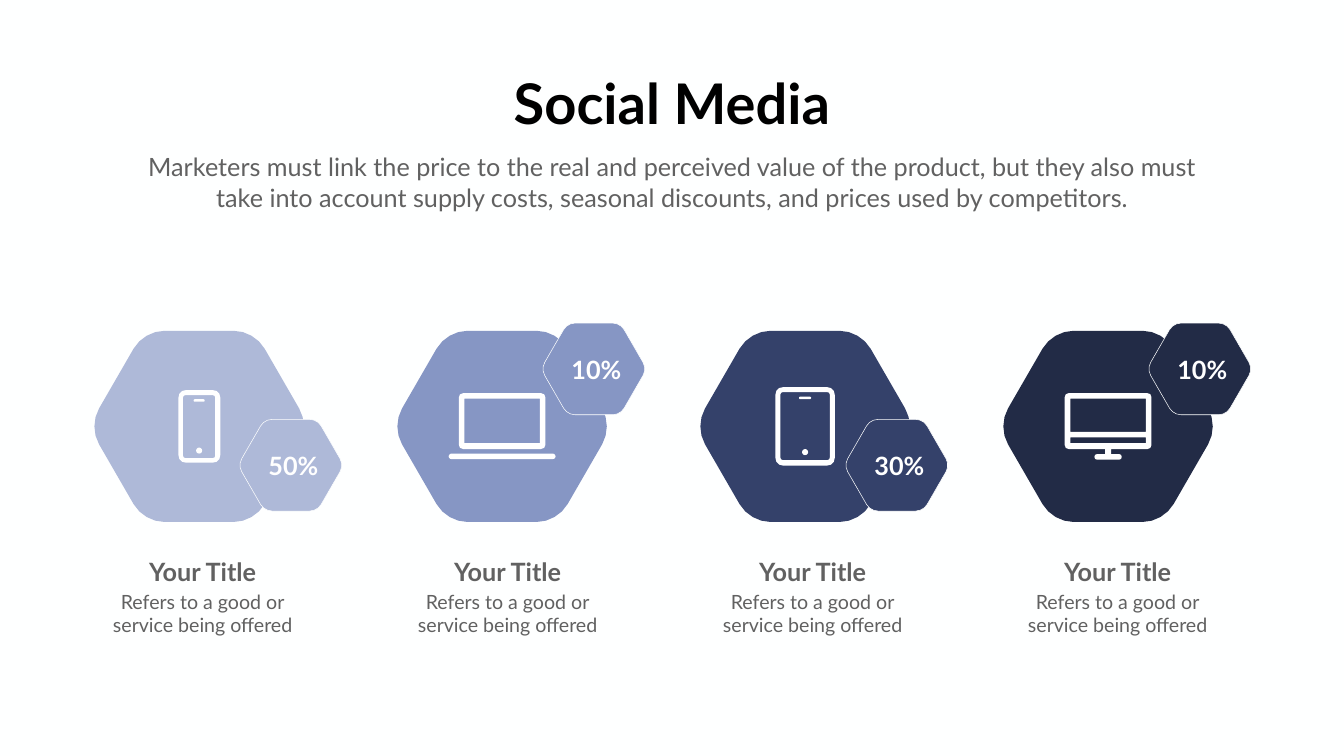
import math
import pptx
import pptx.util
import pptx.dml.color
import pptx.enum.shapes
import pptx.enum.text

Inches = pptx.util.Inches

HUES = {"back": "FEFFFF", "white": "FFFFFF", "black": "000000", "gray": "616161",
        "mist": "AEB9D8", "sky": "8696C4", "navy": "34416A", "night": "222B46"}
FONT = "Lato"
HEAD = "Social Media"
INTRO = ("Marketers must link the price to the real and perceived value of the product, "
         "but they also must take into account supply costs, seasonal discounts, "
         "and prices used by competitors.")
NAME = "Your Title"
NOTE = ["Refers to a good or", "service being offered"]
ITEMS = [("mist", "50%", "phone", "low"), ("sky", "10%", "laptop", "high"),
         ("navy", "30%", "tablet", "low"), ("night", "10%", "screen", "high")]

LEFT, MID, STEP = 3.95, 8.46, 6.01
TEXT_LEFT, TEXT_STEP = 4.02, 6.05
BADGE_X, BADGE_Y = 1.82, {"low": 0.77, "high": -1.14}
BEND = 0.6


def box(x, y, wide, high, cut=0):
    return [(x, y, cut), (x + wide, y, cut), (x + wide, y + high, cut), (x, y + high, cut)]


def hexagon(side, cut):
    turns = [math.radians(60 * n) for n in range(6)]
    return [(side * math.cos(t), side * math.sin(t), cut) for t in turns]


MONITOR = [(-0.86, -0.66, 0.08), (0.86, -0.66, 0.08), (0.86, 0.45, 0.08), (0.06, 0.45, 0),
           (0.06, 0.55, 0), (0.27, 0.55, 0.05), (0.27, 0.66, 0.05), (-0.27, 0.66, 0.05),
           (-0.27, 0.55, 0.05), (-0.06, 0.55, 0), (-0.06, 0.45, 0), (-0.86, 0.45, 0.08)]
FRAMES = {
    "phone": [box(-0.41, -0.72, 0.83, 1.44, 0.15), box(-0.32, -0.62, 0.64, 1.25, 0.05)],
    "laptop": [box(-0.86, -0.66, 1.72, 1.11, 0.09), box(-0.75, -0.55, 1.5, 0.88)],
    "tablet": [box(-0.59, -0.78, 1.18, 1.56, 0.16), box(-0.49, -0.68, 0.98, 1.35, 0.05)],
    "screen": [MONITOR, box(-0.75, -0.55, 1.5, 0.66), box(-0.75, 0.22, 1.5, 0.11)],
}
PILLS = {
    "phone": [(-0.06, 0.42, 0.12, 0.12), (-0.11, -0.54, 0.22, 0.05)],
    "laptop": [(-1.06, 0.54, 2.12, 0.11)],
    "tablet": [(-0.06, 0.45, 0.12, 0.12), (-0.12, -0.59, 0.24, 0.05)],
    "screen": [],
}


def color(name):
    return pptx.dml.color.RGBColor.from_string(HUES[name])


def toward(a, b, gap):
    part = gap / math.dist(a, b)
    return a[0] + (b[0] - a[0]) * part, a[1] + (b[1] - a[1]) * part


def rounded(corners):
    dots = []
    for n, (x, y, cut) in enumerate(corners):
        here = (x, y)
        if not cut:
            dots.append(here)
            continue
        prior, after = corners[n - 1][:2], corners[(n + 1) % len(corners)][:2]
        ends = [toward(here, prior, cut), toward(here, prior, cut * (1 - BEND)),
                toward(here, after, cut * (1 - BEND)), toward(here, after, cut)]
        steps = 4 if cut > 0.3 else 3 if cut > 0.1 else 2
        for k in range(steps + 1):
            t = k / steps
            parts = [(1 - t) ** 3, 3 * t * (1 - t) ** 2, 3 * t * t * (1 - t), t ** 3]
            dots.append(tuple(sum(p * e[i] for p, e in zip(parts, ends)) for i in (0, 1)))
    return dots


def paint(shape, fill, line=None):
    shape.shadow.inherit = False
    shape.fill.solid()
    shape.fill.fore_color.rgb = color(fill)
    if line:
        shape.line.color.rgb = color(line)
        shape.line.width = pptx.util.Pt(0.75)
    else:
        shape.line.fill.background()


def draw(slide, x, y, rings, fill, line=None):
    pen = None
    for ring in rings:
        dots = [(Inches(x + a), Inches(y + b)) for a, b in rounded(ring)]
        if pen is None:
            pen = slide.shapes.build_freeform(*dots[0])
        else:
            pen.move_to(*dots[0])
        pen.add_line_segments(dots[1:], close=True)
    paint(pen.convert_to_shape(), fill, line)


def pill(slide, x, y, wide, high):
    shape = slide.shapes.add_shape(pptx.enum.shapes.MSO_SHAPE.ROUNDED_RECTANGLE,
                                   *[Inches(v) for v in (x, y, wide, high)])
    shape.adjustments[0] = 0.5
    paint(shape, "white")


def write(slide, lines, x, y, wide, high, size, hue="gray", bold=False, wrap=True, shape=None):
    place = [Inches(v) for v in (x - wide / 2, y, wide, high)]
    if shape is None:
        shape = slide.shapes.add_textbox(*place)
    else:
        shape.left, shape.top, shape.width, shape.height = place
    frame = shape.text_frame
    frame.word_wrap = wrap
    frame.auto_size = pptx.enum.text.MSO_AUTO_SIZE.NONE
    frame.vertical_anchor = pptx.enum.text.MSO_ANCHOR.TOP
    for n, line in enumerate(lines):
        para = frame.add_paragraph() if n else frame.paragraphs[0]
        para.alignment = pptx.enum.text.PP_ALIGN.CENTER
        run = para.add_run()
        run.text = line
        run.font.name = FONT
        run.font.size = pptx.util.Pt(size)
        run.font.bold = bold
        run.font.color.rgb = color(hue)


def main():
    deck = pptx.Presentation()
    deck.slide_width, deck.slide_height = Inches(26.66), Inches(15)
    slide = deck.slides.add_slide(deck.slide_layouts[5])
    slide.background.fill.solid()
    slide.background.fill.fore_color.rgb = color("back")

    write(slide, [HEAD], 13.33, 1.3, 6.61, 1.45, 80, "black", bold=True, wrap=False,
          shape=slide.shapes.title)
    write(slide, [INTRO], 13.33, 2.96, 21.3, 1.31, 36)

    for n, (hue, share, icon, spot) in enumerate(ITEMS):
        x = LEFT + n * STEP
        high = MID + BADGE_Y[spot]
        draw(slide, x, MID, [hexagon(2.19, 0.41)], hue)
        draw(slide, x, MID, FRAMES[icon], "white")
        for a, b, wide, tall in PILLS[icon]:
            pill(slide, x + a, MID + b, wide, tall)
        draw(slide, x + BADGE_X, high, [hexagon(1.05, 0.15)], hue, "back")
        write(slide, [share], x + 1.87, high - 0.34, 1.5, 0.71, 36, "white", bold=True)
        mid = TEXT_LEFT + n * TEXT_STEP
        write(slide, [NAME], mid, 10.98, 2.61, 0.71, 36, bold=True)
        write(slide, NOTE, mid, 11.65, 3.97, 1.04, 28)

    deck.save("out.pptx")


if __name__ == "__main__":
    main()
